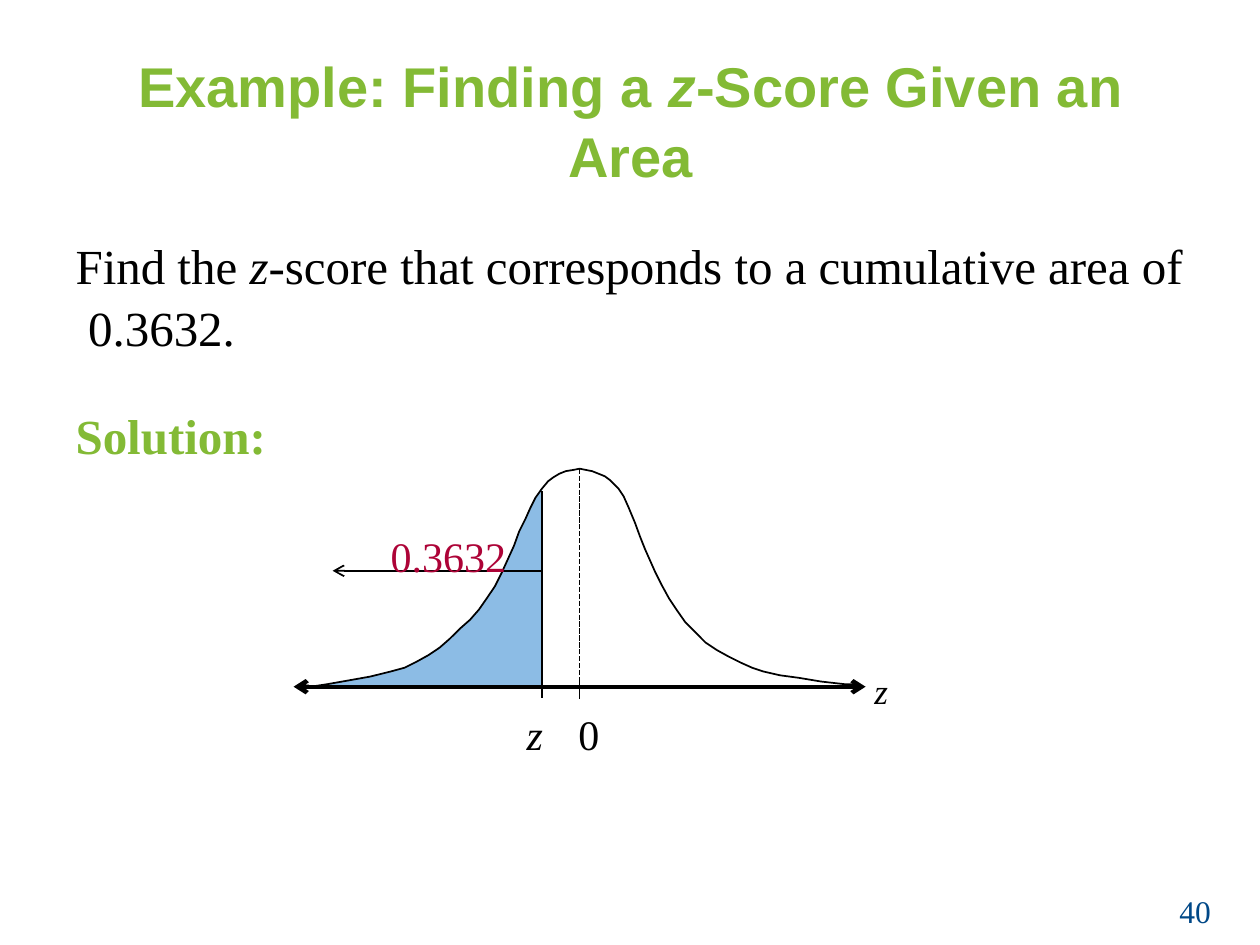
from dataclasses import dataclass
from lxml.etree import SubElement
from pptx import Presentation
from pptx.dml.color import RGBColor
from pptx.enum.dml import MSO_LINE_DASH_STYLE as Dash
from pptx.enum.shapes import MSO_CONNECTOR_TYPE as Connector
from pptx.enum.text import MSO_ANCHOR as Anchor, PP_ALIGN as Align
from pptx.oxml.ns import qn
from pptx.util import Inches, Pt


@dataclass(frozen=True)
class Theme:
    green: str = "83BA35"
    black: str = "000000"
    crimson: str = "AD0337"
    navy: str = "004887"
    area: str = "70ACDF"
    area_alpha: int = 80
    heading: str = "Arial"
    body: str = "Times New Roman"
    title_size: int = 32
    text_size: int = 28
    label_size: int = 24
    axis_size: int = 20
    number_size: int = 18
    spacing: float = 1.05
    thin: float = 1
    thick: float = 2.5


THEME = Theme()

TITLE = [("Example: Finding a ", False), ("z", True), ("-Score Given an Area", False)]
QUESTION = [("Find the ", False), ("z", True),
            ("-score that corresponds to a cumulative area of 0.3632.", False)]
SOLUTION = [("Solution:", False)]

LABELS = [
    ("0.3632", False, (3.1, 4.21, 1.1, 0.4), THEME.label_size, THEME.crimson),
    ("z", True, (6.94, 5.31, 0.3, 0.34), THEME.axis_size, THEME.black),
    ("z", True, (4.18, 5.62, 0.3, 0.4), THEME.label_size, THEME.black),
    ("0", False, (4.59, 5.62, 0.3, 0.4), THEME.label_size, THEME.black),
    ("40", False, (9.36, 7.08, 0.4, 0.3), THEME.number_size, THEME.navy),
]

Z_X, MEAN_X = 4.3, 4.6
AXIS_Y, AREA_Y, PEAK_Y = 5.45, 4.53, 3.72
LEFT_CURVE = [
    (2.47, 5.45), (2.6, 5.43), (2.77, 5.4), (2.94, 5.37), (3.1, 5.33), (3.21, 5.3),
    (3.31, 5.25), (3.4, 5.2), (3.49, 5.14), (3.57, 5.07), (3.65, 4.99), (3.73, 4.92),
    (3.8, 4.84), (3.87, 4.74), (3.93, 4.65), (3.98, 4.55), (4.03, 4.44), (4.08, 4.33),
    (4.12, 4.22), (4.17, 4.12), (4.21, 4.03), (4.25, 3.95), (Z_X, 3.88),
]
RIGHT_CURVE = [
    (4.35, 3.82), (4.39, 3.79), (4.44, 3.76), (4.49, 3.74), (4.55, 3.73), (MEAN_X, PEAK_Y),
    (4.65, 3.73), (4.7, 3.74), (4.75, 3.76), (4.8, 3.78), (4.84, 3.81), (4.87, 3.84),
    (4.91, 3.88), (4.95, 3.94), (4.99, 4.03), (5.04, 4.15), (5.08, 4.26), (5.12, 4.36),
    (5.16, 4.45), (5.2, 4.54), (5.25, 4.64), (5.31, 4.75), (5.37, 4.84), (5.44, 4.94),
    (5.52, 5.02), (5.6, 5.1), (5.69, 5.16), (5.78, 5.21), (5.88, 5.26), (5.97, 5.3),
    (6.06, 5.33), (6.19, 5.36), (6.34, 5.38), (6.52, 5.41), (6.7, 5.43), (6.78, 5.43),
]

LINES = [
    ((2.33, AXIS_Y), (6.87, AXIS_Y), THEME.thick, ("headEnd", "tailEnd"), None),
    ((MEAN_X, PEAK_Y), (MEAN_X, 5.43), THEME.thin, (), Dash.SQUARE_DOT),
    ((MEAN_X, 5.39), (MEAN_X, 5.55), THEME.thin, (), None),
    ((Z_X, 3.9), (Z_X, 5.54), THEME.thin, (), None),
    ((Z_X, AREA_Y), (2.64, AREA_Y), THEME.thin, ("tailEnd",), None),
]


def rgb(value):
    return RGBColor.from_string(value)


def prepare_frame(frame):
    options = dict(word_wrap=True, vertical_anchor=Anchor.TOP, margin_left=0,
                   margin_right=0, margin_top=0, margin_bottom=0)
    for name, value in options.items():
        setattr(frame, name, value)


def place(shape, bounds):
    for name, value in zip(("left", "top", "width", "height"), bounds):
        setattr(shape, name, Inches(value))


def write(para, spans, font, size, color, bold=False, **layout):
    for name, value in layout.items():
        setattr(para, name, value)
    for text, italic in spans:
        span = para.add_run()
        span.text = text
        style = dict(name=font, size=Pt(size), bold=bold, italic=italic)
        for name, value in style.items():
            setattr(span.font, name, value)
        span.font.color.rgb = rgb(color)


def add_box(page, bounds):
    box = page.shapes.add_textbox(*map(Inches, bounds))
    prepare_frame(box.text_frame)
    return box.text_frame


def add_outline(page, points, close):
    start, *rest = [(Inches(x), Inches(y)) for x, y in points]
    builder = page.shapes.build_freeform(*start, scale=1.0)
    builder.add_line_segments(rest, close=close)
    shape = builder.convert_to_shape()
    shape.shadow.inherit = False
    return shape


def add_area(page):
    points = LEFT_CURVE + [(Z_X, AXIS_Y)]
    area = add_outline(page, points, True)
    area.fill.solid()
    area.fill.fore_color.rgb = rgb(THEME.area)
    color = area.fill._xPr.find(qn("a:solidFill"))[0]
    SubElement(color, qn("a:alpha"), val=str(THEME.area_alpha * 1000))
    area.line.fill.background()


def add_curve(page):
    curve = add_outline(page, LEFT_CURVE + RIGHT_CURVE, False)
    curve.fill.background()
    curve.line.color.rgb = rgb(THEME.black)
    curve.line.width = Pt(THEME.thin)


def add_line(page, start, end, width, arrows, dash):
    line = page.shapes.add_connector(Connector.STRAIGHT, *map(Inches, start + end))
    line.line.color.rgb = rgb(THEME.black)
    line.line.width = Pt(width)
    if dash:
        line.line.dash_style = dash
    for arrow in arrows:
        SubElement(line.line._get_or_add_ln(), qn(f"a:{arrow}"), type="arrow")
    SubElement(line._element.spPr, qn("a:effectLst"))


def add_title(page):
    title = page.shapes.title
    place(title, (0.86, 0.38, 8.29, 1.1))
    prepare_frame(title.text_frame)
    write(title.text_frame.paragraphs[0], TITLE, THEME.heading, THEME.title_size, THEME.green,
          bold=True, alignment=Align.CENTER, line_spacing=THEME.spacing)


def add_question(page):
    frame = add_box(page, (0.6, 1.85, 8.9, 1.8))
    question = frame.paragraphs[0]
    write(question, QUESTION, THEME.body, THEME.text_size, THEME.black,
          line_spacing=THEME.spacing)
    indent = Inches(0.1)
    question._p.get_or_add_pPr().set("marL", str(indent))
    question._p.get_or_add_pPr().set("indent", str(-indent))
    write(frame.add_paragraph(), SOLUTION, THEME.body, THEME.text_size, THEME.green,
          bold=True, line_spacing=THEME.spacing, space_before=Pt(26.3))


def main():
    deck = Presentation()
    deck.slide_width, deck.slide_height = Inches(10), Inches(7.5)
    page = deck.slides.add_slide(deck.slide_layouts[5])
    add_title(page)
    add_area(page)
    add_curve(page)
    for line in LINES:
        add_line(page, *line)
    add_question(page)
    for text, italic, bounds, size, color in LABELS:
        para = add_box(page, bounds).paragraphs[0]
        write(para, [(text, italic)], THEME.body, size, color)
    deck.save("out.pptx")


if __name__ == "__main__":
    main()
